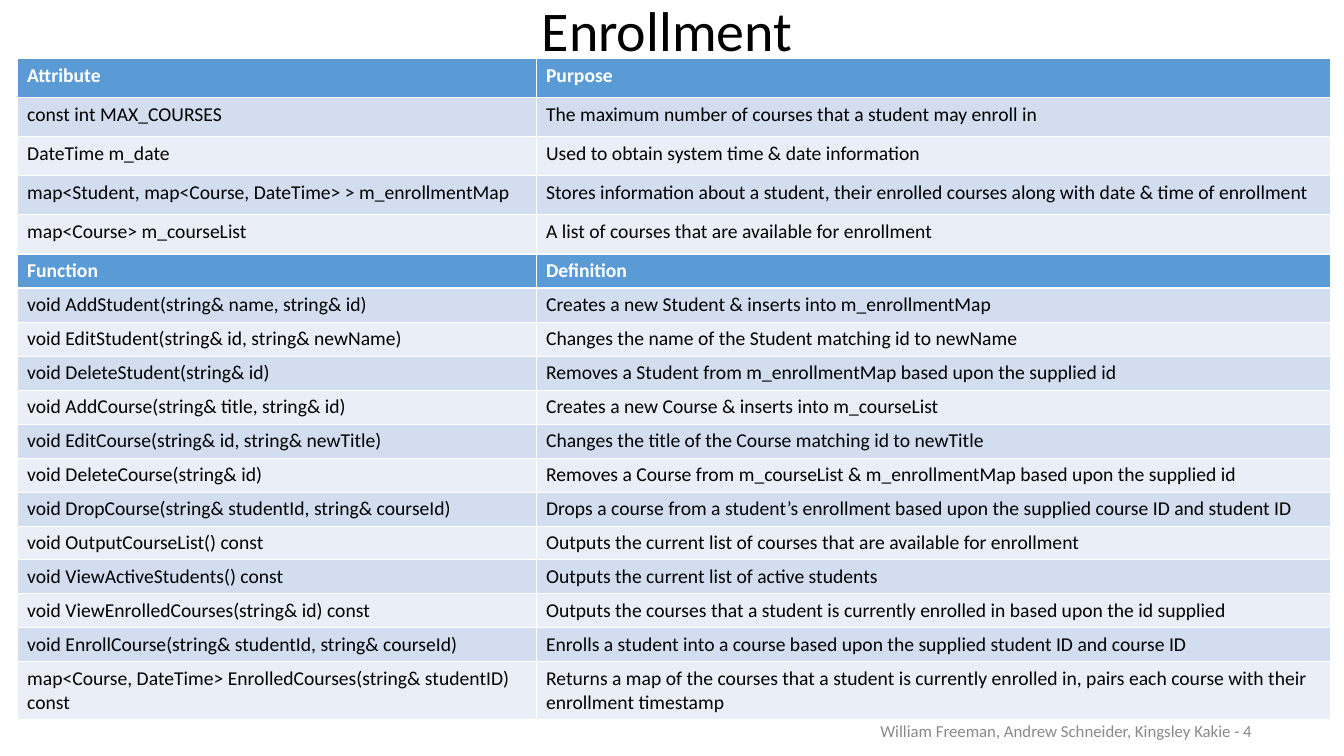
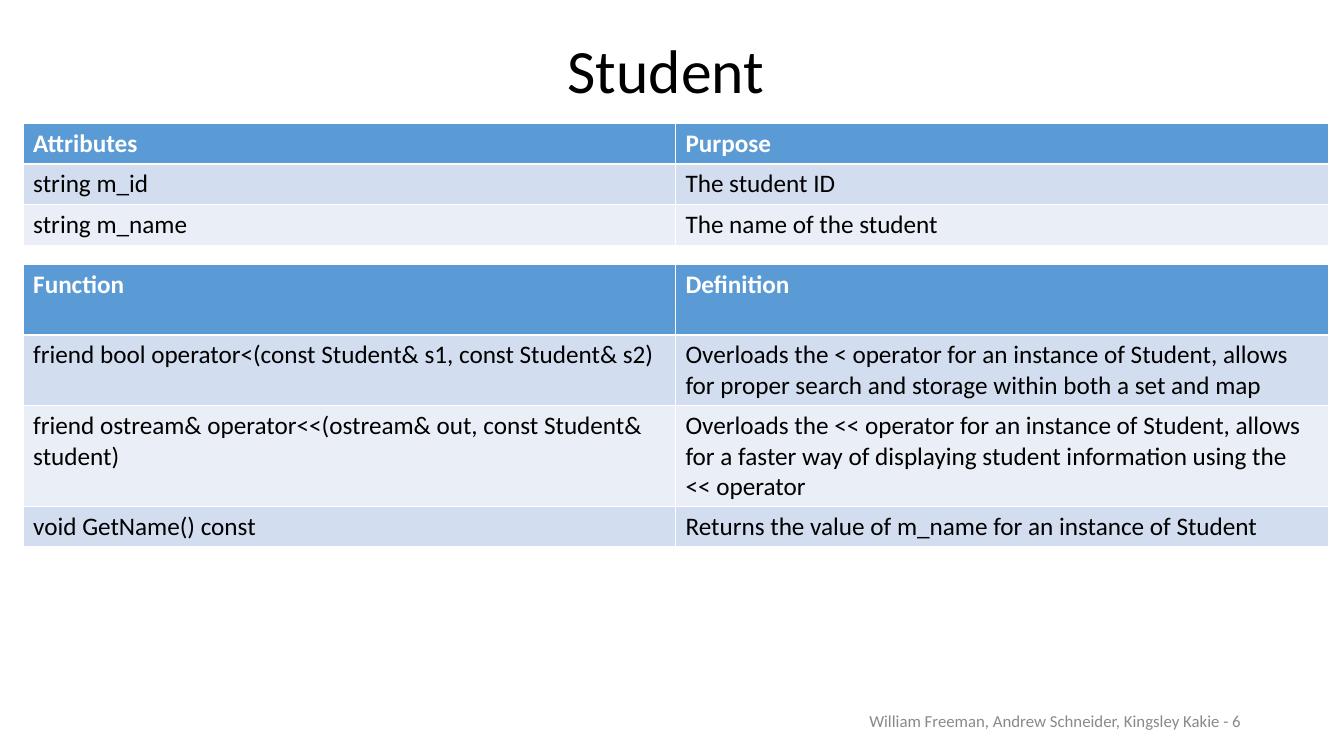
import lxml.etree
import pptx
import pptx.dml.color
import pptx.enum.text
import pptx.oxml.ns
import pptx.util

COLORS = {
    "header": "5B9BD5",
    "band_dark": "D2DEEF",
    "band_light": "EAEFF7",
    "border": "FFFFFF",
    "header_text": "FFFFFF",
    "text": "000000",
    "footer": "898989",
}
FONT = "Calibri"
AUTHORS = "William Freeman, Andrew Schneider, Kingsley Kakie"
THIN, THICK = 0.45, 1.47
ALIGN = pptx.enum.text.PP_ALIGN
ANCHOR = pptx.enum.text.MSO_ANCHOR

ENROLLMENT_ATTRIBUTES = [
    ("Attribute", "Purpose"),
    ("const int MAX_COURSES", "The maximum number of courses that a student may enroll in"),
    ("DateTime m_date", "Used to obtain system time & date information"),
    ("map<Student, map<Course, DateTime> > m_enrollmentMap",
     "Stores information about a student, their enrolled courses along with date & time of enrollment"),
    ("map<Course> m_courseList", "A list of courses that are available for enrollment"),
]
ENROLLMENT_FUNCTIONS = [
    ("Function", "Definition"),
    ("void AddStudent(string& name, string& id)", "Creates a new Student & inserts into m_enrollmentMap"),
    ("void EditStudent(string& id, string& newName)", "Changes the name of the Student matching id to newName"),
    ("void DeleteStudent(string& id)", "Removes a Student from m_enrollmentMap based upon the supplied id"),
    ("void AddCourse(string& title, string& id)", "Creates a new Course & inserts into m_courseList"),
    ("void EditCourse(string& id, string& newTitle)", "Changes the title of the Course matching id to newTitle"),
    ("void DeleteCourse(string& id)",
     "Removes a Course from m_courseList & m_enrollmentMap based upon the supplied id"),
    ("void DropCourse(string& studentId, string& courseId)",
     "Drops a course from a student’s enrollment based upon the supplied course ID and student ID"),
    ("void OutputCourseList() const", "Outputs the current list of courses that are available for enrollment"),
    ("void ViewActiveStudents() const", "Outputs the current list of active students"),
    ("void ViewEnrolledCourses(string& id) const",
     "Outputs the courses that a student is currently enrolled in based upon the id supplied"),
    ("void EnrollCourse(string& studentId, string& courseId)",
     "Enrolls a student into a course based upon the supplied student ID and course ID"),
    ("map<Course, DateTime> EnrolledCourses(string& studentID) const",
     "Returns a map of the courses that a student is currently enrolled in, "
     "pairs each course with their enrollment timestamp"),
]
STUDENT_ATTRIBUTES = [
    ("Attributes", "Purpose"),
    ("string m_id", "The student ID"),
    ("string m_name", "The name of the student"),
]
STUDENT_FUNCTIONS = [
    ("Function", "Definition"),
    ("friend bool operator<(const Student& s1, const Student& s2)",
     "Overloads the < operator for an instance of Student, "
     "allows for proper search and storage within both a set and map"),
    ("friend ostream& operator<<(ostream& out, const Student& student)",
     "Overloads the << operator for an instance of Student, "
     "allows for a faster way of displaying student information using the << operator"),
    ("void GetName() const", "Returns the value of m_name for an instance of Student"),
]


def rgb(name):
    return pptx.dml.color.RGBColor.from_string(COLORS[name])


def write_text(frame, text, size, color, bold=False, align=ALIGN.LEFT, spacing=1.0):
    para = frame.paragraphs[0]
    para.alignment = align
    para.line_spacing = spacing
    span = para.add_run()
    span.text = text
    span.font.color.rgb = rgb(color)
    formats = {"name": FONT, "size": pptx.util.Pt(size), "bold": bold}
    for name, value in formats.items():
        setattr(span.font, name, value)


def add_text(page, place, text, size, color, align, anchor=ANCHOR.MIDDLE, spacing=1.0):
    box = page.shapes.add_textbox(*map(pptx.util.Inches, place))
    frame = box.text_frame
    formats = {"word_wrap": True, "vertical_anchor": anchor}
    for name, value in formats.items():
        setattr(frame, name, value)
    write_text(frame, text, size, color, align=align, spacing=spacing)


def add_title(page, place, text, size, **options):
    add_text(page, place, text, size, "text", ALIGN.CENTER, **options)


def add_footer(page, left, top, number):
    add_text(page, (left, top, 3.95, 0.4), f"{AUTHORS} - {number}", 12, "footer", ALIGN.RIGHT)


def set_borders(cell, top, bottom):
    properties = cell._tc.get_or_add_tcPr()
    widths = {"lnL": THIN, "lnR": THIN, "lnT": top, "lnB": bottom}
    for index, (tag, width) in enumerate(widths.items()):
        line = lxml.etree.Element(pptx.oxml.ns.qn(f"a:{tag}"), w=str(int(pptx.util.Pt(width))))
        fill = lxml.etree.SubElement(line, pptx.oxml.ns.qn("a:solidFill"))
        lxml.etree.SubElement(fill, pptx.oxml.ns.qn("a:srgbClr"), val=COLORS["border"])
        properties.insert(index, line)


def fill_cell(cell, text, row, size):
    band = "header" if row == 0 else "band_dark" if row % 2 else "band_light"
    cell.fill.solid()
    cell.fill.fore_color.rgb = rgb(band)
    write_text(cell.text_frame, text, size, "text" if row else "header_text", bold=row == 0)
    set_borders(cell, THICK if row == 1 else THIN, THICK if row == 0 else THIN)


def add_grid(page, left, top, widths, heights, size, content):
    place = (left, top, sum(widths), sum(heights))
    table = page.shapes.add_table(len(heights), len(widths), *map(pptx.util.Inches, place)).table
    for column, width in zip(table.columns, widths):
        column.width = pptx.util.Inches(width)
    for row, (height, texts) in enumerate(zip(heights, content)):
        table.rows[row].height = pptx.util.Inches(height)
        for column, text in enumerate(texts):
            fill_cell(table.cell(row, column), text, row, size)


def add_enrollment(page):
    widths = (5.15, 7.88)
    add_grid(page, 0.17, 2.52, widths, [0.335] * 12 + [0.57], 14, ENROLLMENT_FUNCTIONS)
    add_title(page, (3.71, -0.09, 5.82, 0.77), "Enrollment", 40, anchor=ANCHOR.TOP)
    add_grid(page, 0.17, 0.58, widths, [0.387] * 5, 14, ENROLLMENT_ATTRIBUTES)
    add_footer(page, 8.58, 7.05, 4)


def add_student(page):
    widths = (6.475, 6.475)
    add_title(page, (0.86, 0, 11.5, 1.45), "Student", 44, spacing=0.9)
    add_grid(page, 0.23, 1.22, widths, [0.405] * 3, 18, STUDENT_ATTRIBUTES)
    add_grid(page, 0.23, 2.62, widths, [0.7, 0.7, 1, 0.4], 18, STUDENT_FUNCTIONS)
    add_footer(page, 8.47, 6.95, 6)


def main():
    deck = pptx.Presentation()
    deck.slide_width = pptx.util.Inches(13.34)
    deck.slide_height = pptx.util.Inches(7.5)
    for build in (add_enrollment, add_student):
        build(deck.slides.add_slide(deck.slide_layouts[6]))
    deck.save("out.pptx")


if __name__ == "__main__":
    main()
